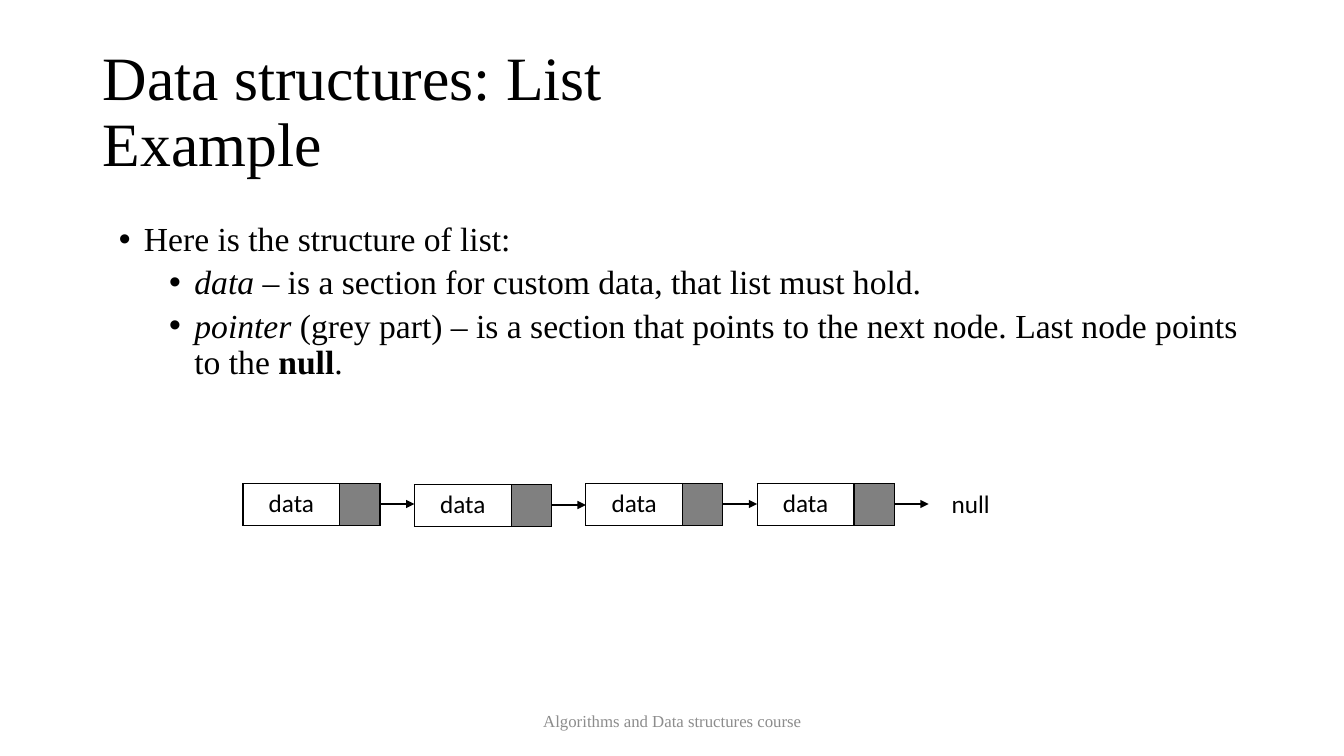
from dataclasses import dataclass

from lxml.etree import SubElement
from pptx import Presentation
from pptx.dml.color import RGBColor
from pptx.enum.shapes import MSO_CONNECTOR
from pptx.enum.text import MSO_ANCHOR, PP_ALIGN
from pptx.oxml.ns import qn
from pptx.slide import Slide
from pptx.table import _Cell
from pptx.text.text import TextFrame, _Paragraph
from pptx.util import Inches, Pt

SERIF = "Times New Roman"
SANS = "Calibri"
BLACK = "000000"
GREY = "808080"
FOOTER_GREY = "8C8C8C"
NODE_LEFT, NODE_PITCH = 2.41, 1.7
DATA_WIDTH, POINTER_WIDTH, NODE_HEIGHT = 0.96, 0.4, 0.41
ARROW_LENGTH = 0.54


@dataclass(frozen=True)
class Span:
    text: str
    italic: bool = False
    bold: bool = False


@dataclass(frozen=True)
class Bullet:
    spans: tuple[Span, ...]
    level: int = 0
    indent: float = 0.25
    space_before: float = 0


@dataclass(frozen=True)
class Node:
    left: float
    top: float


BULLETS = (
    Bullet((Span("Here is the structure of list:"),)),
    Bullet(
        (Span("data – ", italic=True), Span("is a section for custom data, that list must hold.")),
        level=1, indent=0.75, space_before=5,
    ),
    Bullet(
        (
            Span("pointer ", italic=True),
            Span("(grey part) – is a section that points to the next node. Last node points to the "),
            Span("null", bold=True),
            Span("."),
        ),
        level=1, indent=0.75, space_before=5,
    ),
)
NODES = tuple(
    Node(NODE_LEFT + index * NODE_PITCH, top) for index, top in enumerate((4.8, 4.81, 4.8, 4.8))
)


def color(value: str) -> RGBColor:
    return RGBColor.from_string(value)


def write_text(paragraph: _Paragraph, text: str, *, size: float, font: str = SERIF,
               fill: str = BLACK, italic: bool = False, bold: bool = False) -> None:
    for index, line in enumerate(text.split("\n")):
        if index:
            paragraph.add_line_break()
        run = paragraph.add_run()
        run.text = line
        run.font.size = Pt(size)
        run.font.name = font
        run.font.color.rgb = color(fill)
        run.font.italic = italic
        run.font.bold = bold


def add_text_frame(slide: Slide, left: float, top: float, width: float, height: float, *,
                   anchor: MSO_ANCHOR = MSO_ANCHOR.TOP, wrap: bool = True) -> TextFrame:
    shape = slide.shapes.add_textbox(Inches(left), Inches(top), Inches(width), Inches(height))
    frame = shape.text_frame
    frame.word_wrap = wrap
    frame.vertical_anchor = anchor
    return frame


def add_bullet(paragraph: _Paragraph, bullet: Bullet) -> None:
    paragraph.level = bullet.level
    paragraph.line_spacing = 0.9
    paragraph.space_before = Pt(bullet.space_before)
    properties = paragraph._p.get_or_add_pPr()
    properties.set("marL", str(Inches(bullet.indent)))
    properties.set("indent", str(Inches(-0.25)))
    SubElement(properties, qn("a:buFont"), typeface="Arial")
    SubElement(properties, qn("a:buChar"), char="•")
    for span in bullet.spans:
        write_text(paragraph, span.text, size=24, italic=span.italic, bold=span.bold)


def add_arrow(slide: Slide, start: float, end: float, middle: float) -> None:
    arrow = slide.shapes.add_connector(
        MSO_CONNECTOR.STRAIGHT, Inches(start), Inches(middle), Inches(end), Inches(middle)
    )
    arrow.line.color.rgb = color(BLACK)
    arrow.line.width = Pt(1.5)
    SubElement(arrow.line._get_or_add_ln(), qn("a:tailEnd"), type="triangle")
    SubElement(arrow._element.spPr, qn("a:effectLst"))


def add_borders(cell: _Cell) -> None:
    properties = cell._tc.get_or_add_tcPr()
    for index, side in enumerate(("a:lnL", "a:lnR", "a:lnT", "a:lnB")):
        border = properties.makeelement(qn(side), {"w": str(Pt(1))})
        properties.insert(index, border)
        SubElement(SubElement(border, qn("a:solidFill")), qn("a:srgbClr"), val=BLACK)


def add_node(slide: Slide, node: Node) -> None:
    pointer_middle = node.left + DATA_WIDTH + POINTER_WIDTH / 2
    add_arrow(slide, pointer_middle, pointer_middle + ARROW_LENGTH, node.top + 0.2)
    table = slide.shapes.add_table(
        1, 2, Inches(node.left), Inches(node.top),
        Inches(DATA_WIDTH + POINTER_WIDTH), Inches(NODE_HEIGHT),
    ).table
    table.first_row = False
    table.horz_banding = False
    table.columns[0].width = Inches(DATA_WIDTH)
    table.columns[1].width = Inches(POINTER_WIDTH)
    data_cell, pointer_cell = table.cell(0, 0), table.cell(0, 1)
    data_cell.fill.background()
    pointer_cell.fill.solid()
    pointer_cell.fill.fore_color.rgb = color(GREY)
    for cell in (data_cell, pointer_cell):
        add_borders(cell)
    paragraph = data_cell.text_frame.paragraphs[0]
    paragraph.alignment = PP_ALIGN.CENTER
    write_text(paragraph, "data", size=18, font=SANS)


def main() -> None:
    presentation = Presentation()
    presentation.slide_width = Inches(13.33)
    presentation.slide_height = Inches(7.5)
    slide = presentation.slides.add_slide(presentation.slide_layouts[6])

    title = add_text_frame(slide, 0.92, 0.4, 11.5, 1.45, anchor=MSO_ANCHOR.MIDDLE).paragraphs[0]
    title.line_spacing = 0.9
    write_text(title, "Data structures: List\nExample", size=44)

    footer = add_text_frame(slide, 4.42, 6.95, 4.5, 0.4, anchor=MSO_ANCHOR.MIDDLE).paragraphs[0]
    footer.alignment = PP_ALIGN.CENTER
    write_text(footer, "Algorithms and Data structures course", size=12, fill=FOOTER_GREY)

    for node in NODES:
        add_node(slide, node)
    null_label = add_text_frame(slide, 9.34, 4.8, 0.59, 0.4, wrap=False).paragraphs[0]
    write_text(null_label, "null", size=18, font=SANS)

    body = add_text_frame(slide, 1.08, 2.16, 11.5, 4.76)
    for index, bullet in enumerate(BULLETS):
        add_bullet(body.add_paragraph() if index else body.paragraphs[0], bullet)

    presentation.save("out.pptx")


if __name__ == "__main__":
    main()
